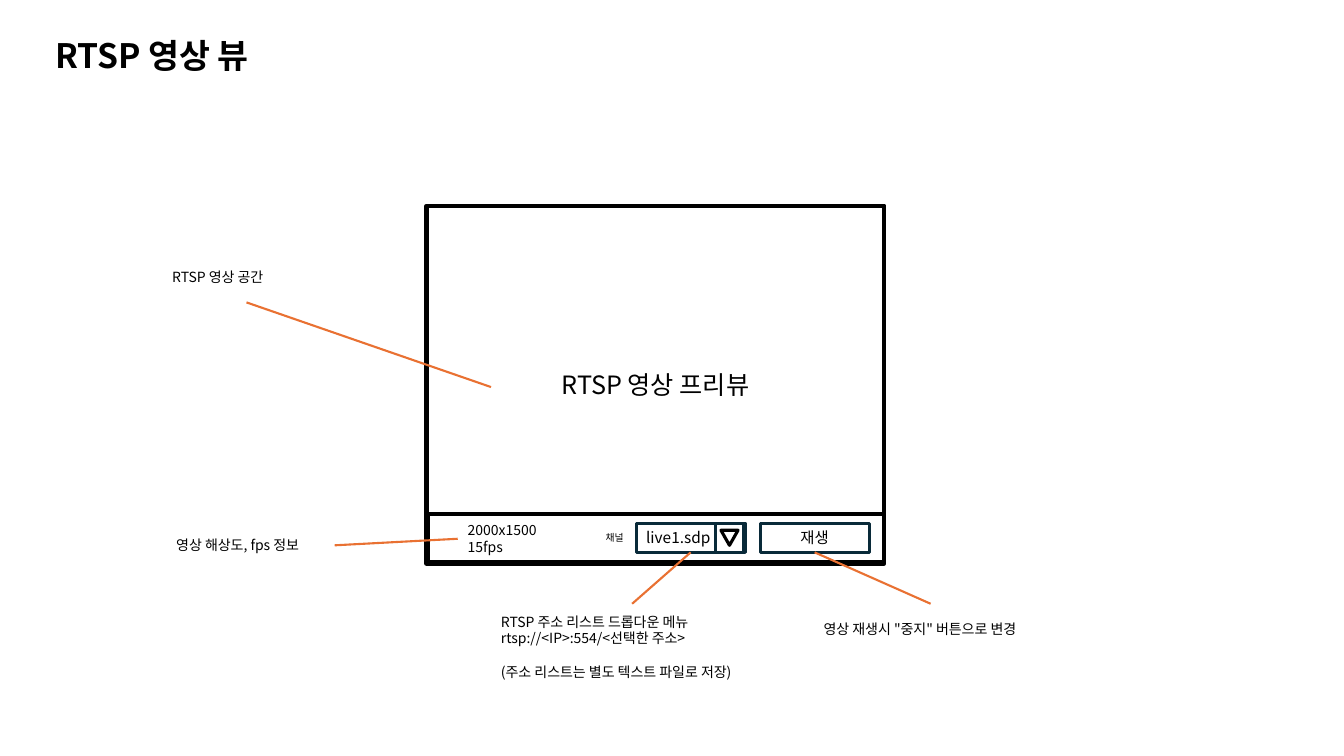
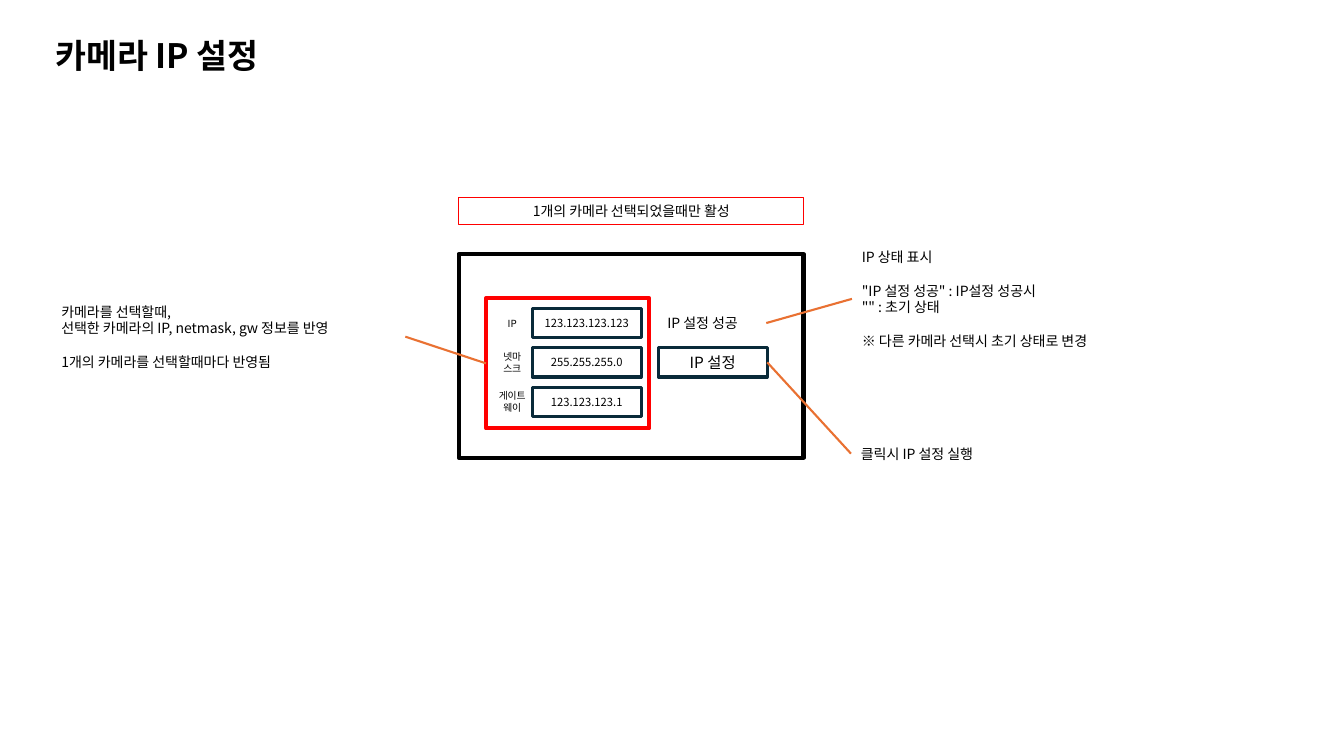
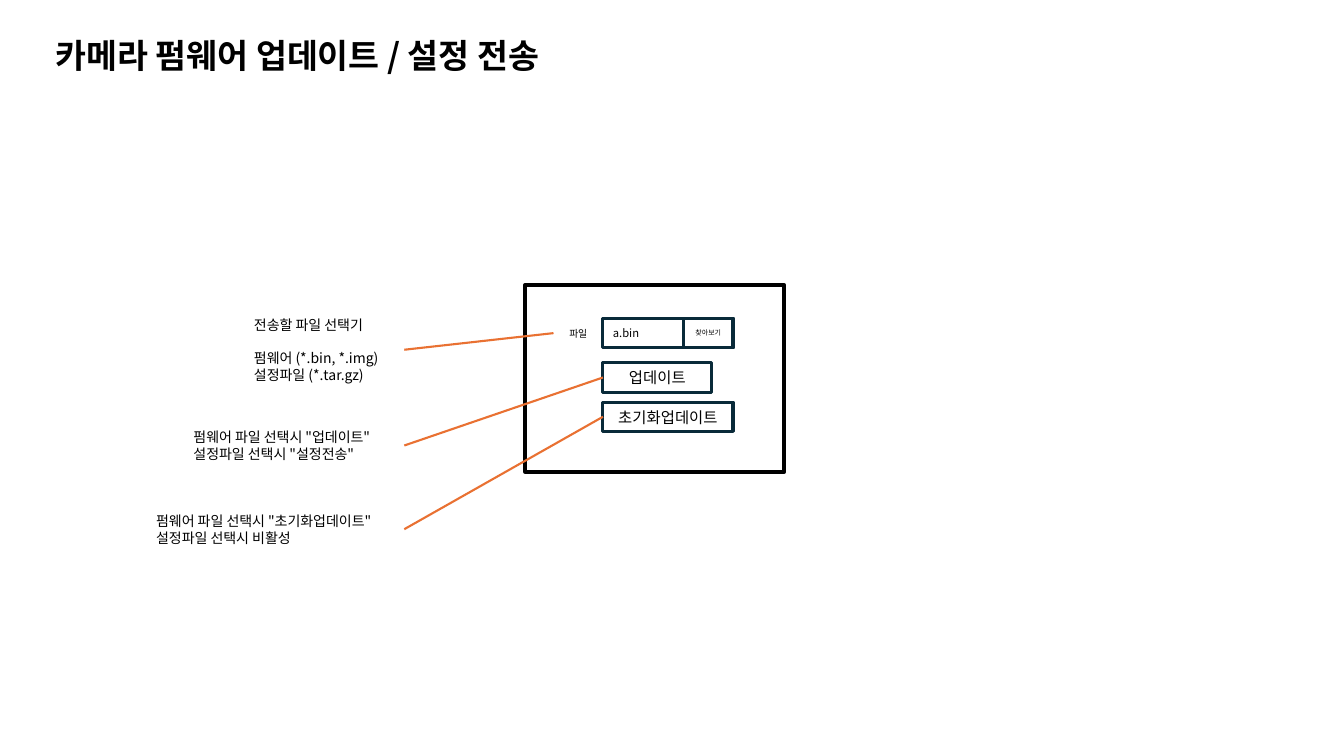
"""Build three wireframe slides for a camera tool."""
from lxml import etree
from pptx import Presentation
from pptx.dml.color import RGBColor
from pptx.enum.shapes import MSO_CONNECTOR, MSO_SHAPE
from pptx.enum.text import MSO_ANCHOR, MSO_AUTO_SIZE, PP_ALIGN
from pptx.oxml.ns import qn
from pptx.util import Inches, Pt

RECT = MSO_SHAPE.RECTANGLE
TRI = MSO_SHAPE.ISOSCELES_TRIANGLE
LINE = MSO_CONNECTOR.STRAIGHT
LEFT, MID = PP_ALIGN.LEFT, PP_ALIGN.CENTER
TOP, CORE = MSO_ANCHOR.TOP, MSO_ANCHOR.MIDDLE
GROW = MSO_AUTO_SIZE.SHAPE_TO_FIT_TEXT
NORTH, WEST, SOUTH, EAST = range(4)

FONT = "Noto Sans CJK KR"
COLORS = {"ink": "000000", "navy": "092A39", "red": "FF0000", "lead": "E97132"}
TITLE = {"size": Pt(24), "bold": True}
PENS = {
    "frame": ("ink", 3),
    "field": ("navy", 2.25),
    "arrow": ("ink", 2.25),
    "group": ("red", 3),
    "hint": ("red", 0.75),
    "lead": ("lead", 1.5),
}
HIGH, STEP = 0.29, 0.39


def color(name):
    """Return a palette colour."""
    return RGBColor.from_string(COLORS[name])


def write(shape, text, form, align=LEFT, anchor=CORE, wrap=True):
    """Fill a shape with text, where an empty line parts the blocks."""
    frame = shape.text_frame
    for key, value in {"word_wrap": wrap, "vertical_anchor": anchor}.items():
        setattr(frame, key, value)
    para = frame.paragraphs[0]
    for i, block in enumerate(text.split("\n\n")):
        for j, line in enumerate(block.split("\n")):
            if i or j:
                para = frame.add_paragraph()
            para.alignment = align
            if i and not j:
                para.space_before = Pt(12)
            run = para.add_run()
            run.text = line
            for key, value in {"name": FONT, **form}.items():
                setattr(run.font, key, value)
            run.font.color.rgb = color("ink")
            east = etree.SubElement(run.font._element, qn("a:ea"))
            east.set("typeface", FONT)


def stroke(line, pen):
    """Set the colour and width of a line."""
    name, width = PENS[pen]
    line.color.rgb = color(name)
    line.width = Pt(width)


def box(slide, at, pen="field", text="", size=11, align=MID, anchor=CORE, kind=RECT):
    """Add an outlined shape, with text if given."""
    shape = slide.shapes.add_shape(kind, *map(Inches, at))
    shape.shadow.inherit = False
    shape.fill.background()
    stroke(shape.line, pen)
    if text:
        write(shape, text, {"size": Pt(size)}, align, anchor)
    return shape


def note(slide, at, text, size=10, align=LEFT):
    """Add plain text."""
    shape = slide.shapes.add_textbox(*map(Inches, at))
    write(shape, text, {"size": Pt(size)}, align)
    return shape


def tag(slide, at, text):
    """Add a small centred field label."""
    return note(slide, at, text, 7, MID)


def spot(shape, side):
    """Return the middle of a side of a shape."""
    x, y, w, h = shape.left, shape.top, shape.width, shape.height
    return [(x + w // 2, y), (x, y + h // 2), (x + w // 2, y + h), (x + w, y + h // 2)][side]


def lead(slide, start, side, end, port=None):
    """Join a note to a shape, or to a free point if no port is given."""
    goal = tuple(map(Inches, end)) if port is None else spot(end, port)
    line = slide.shapes.add_connector(LINE, *spot(start, side), *goal)
    line.begin_connect(start, side)
    if port is not None:
        line.end_connect(end, port)
    stroke(line.line, "lead")
    etree.SubElement(line._element.spPr, qn("a:effectLst"))


def page(deck, text, width):
    """Add a blank slide with its title."""
    slide = deck.slides.add_slide(deck.slide_layouts[6])
    shape = slide.shapes.add_textbox(*map(Inches, (0.45, 0.3, width, 0.5)))
    write(shape, text, TITLE, anchor=TOP, wrap=False)
    shape.text_frame.auto_size = GROW
    return slide


def view(deck):
    """Draw the video view."""
    slide = page(deck, "RTSP 영상 뷰", 2.26)
    box(slide, (4.23, 2.04, 4.54, 3.55), "frame", "RTSP 영상 프리뷰", 18)
    box(slide, (4.24, 5.1, 4.53, 0.48), "frame")
    y = 5.19
    play = box(slide, (7.54, y, 1.08, HIGH), text="재생")
    live = box(slide, (6.31, y, 1.08, HIGH), text="live1.sdp", align=LEFT)
    tag(slide, (5.89, y, 0.41, HIGH), "채널")
    box(slide, (7.1, y, 0.28, HIGH))
    drop = box(slide, (7.15, 5.26, 0.17, 0.15), "arrow", kind=TRI)
    drop.rotation = 180
    info = note(slide, (4.54, 5.2, 1.08, HIGH), "2000x1500 15fps")
    area = note(slide, (1.61, 2.5, 1.67, 0.5), "RTSP 영상 공간")
    rate = note(slide, (1.65, 5.16, 1.67, 0.5), "영상 해상도, fps 정보")
    menu = note(slide, (4.87, 5.99, 2.8, 0.85),
                "RTSP 주소 리스트 드롭다운 메뉴\nrtsp://<IP>:554/<선택한 주소>\n\n"
                "(주소 리스트는 별도 텍스트 파일로 저장)")
    stop = note(slide, (8.07, 5.99, 2.32, 0.5), '영상 재생시 "중지" 버튼으로 변경')
    lead(slide, area, SOUTH, (4.87, 3.84))
    lead(slide, rate, EAST, info, WEST)
    lead(slide, menu, NORTH, live, SOUTH)
    lead(slide, stop, NORTH, play, SOUTH)


def setup(deck):
    """Draw the address form."""
    slide = page(deck, "카메라 IP 설정", 2.44)
    box(slide, (4.55, 2.52, 3.42, 2.02), "frame")
    top = 3.06
    rows = [("IP", 0.41, "123.123.123.123"), ("넷마스크", 0.41, "255.255.255.0"),
            ("게이트웨이", 0.52, "123.123.123.1")]
    for i, (name, width, value) in enumerate(rows):
        y = top + i * STEP
        tag(slide, (5.08 - width / 2, y, width, HIGH), name)
        box(slide, (5.28, y, 1.08, HIGH), text=value, size=8)
    state = note(slide, (6.52, top, 1.08, HIGH), "IP 설정 성공")
    apply = box(slide, (6.53, top + STEP, 1.08, HIGH), text="IP 설정")
    group = box(slide, (4.82, 2.96, 1.62, 1.29), "group")
    box(slide, (4.55, 1.96, 3.42, 0.27), "hint", "1개의 카메라 선택되었을때만 활성", 10, anchor=TOP)
    pick = note(slide, (0.51, 2.84, 3.51, 1),
                "카메라를 선택할때,\n선택한 카메라의 IP, netmask, gw 정보를 반영\n\n"
                "1개의 카메라를 선택할때마다 반영됨")
    click = note(slide, (8.44, 4.25, 1.59, 0.5), "클릭시 IP 설정 실행")
    show = note(slide, (8.45, 2.27, 4.43, 1.39),
                'IP 상태 표시\n\n"IP 설정 성공" : IP설정 성공시\n"" : 초기 상태\n\n'
                "※ 다른 카메라 선택시 초기 상태로 변경")
    lead(slide, pick, EAST, group, WEST)
    lead(slide, apply, EAST, click, WEST)
    lead(slide, state, EAST, show, WEST)


def update(deck):
    """Draw the firmware form."""
    slide = page(deck, "카메라 펌웨어 업데이트 / 설정 전송", 5.66)
    box(slide, (5.21, 2.83, 2.57, 1.85), "frame")
    x, y = 5.98, 3.16
    send = box(slide, (x, 3.6, 1.08, HIGH), text="업데이트")
    reset = box(slide, (x, 3.6 + STEP, 1.29, HIGH), text="초기화업데이트")
    box(slide, (x, y, 1.29, HIGH), text="a.bin", size=8, align=LEFT)
    file = tag(slide, (5.49, y, 0.49, HIGH), "파일")
    box(slide, (6.78, y, 0.49, HIGH), text="찾아보기", size=5)
    edge = 4.01
    rows = [
        (3.1, 1.59, 0.74, "전송할 파일 선택기\n\n펌웨어 (*.bin, *.img)\n설정파일 (*.tar.gz)", file),
        (4.17, 2.19, 0.5, '펌웨어 파일 선택시 "업데이트"\n설정파일 선택시 "설정전송"', send),
        (5, 2.56, 0.5, '펌웨어 파일 선택시 "초기화업데이트"\n설정파일 선택시 비활성', reset),
    ]
    for y, width, high, text, goal in rows:
        hint = note(slide, (edge - width, y, width, high), text)
        lead(slide, hint, EAST, goal, WEST)


def main():
    """Build and save the deck."""
    deck = Presentation()
    deck.slide_width, deck.slide_height = Inches(13.33), Inches(7.5)
    for draw in (view, setup, update):
        draw(deck)
    deck.save("out.pptx")


if __name__ == "__main__":
    main()
